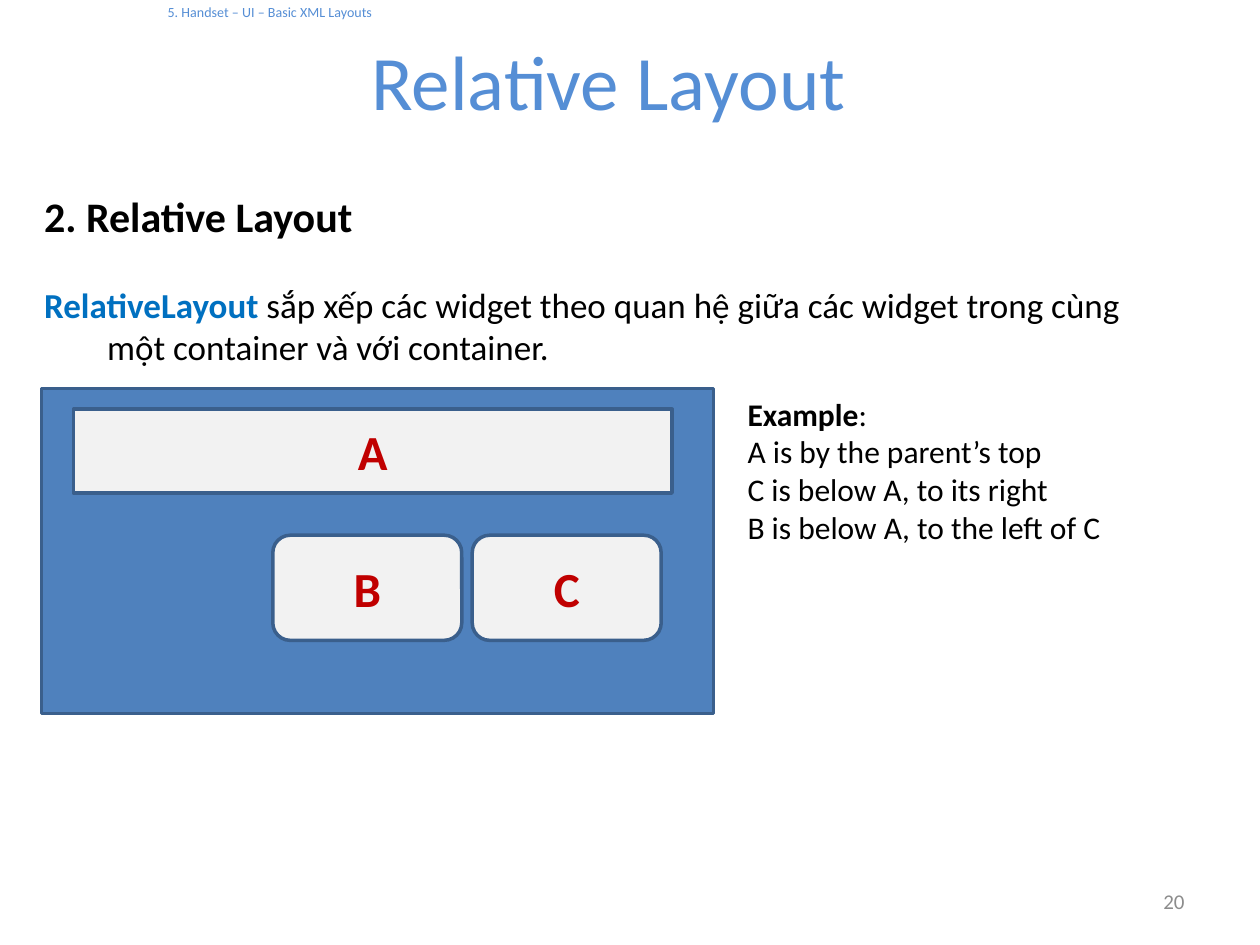
from collections import namedtuple
from dataclasses import dataclass

from pptx import Presentation
from pptx import util as u
from pptx.dml.color import RGBColor
from pptx.enum import shapes, text

Box = namedtuple("Box", "left top width height")


@dataclass(frozen=True)
class Theme:
    """Colours, font and type sizes of the slide."""
    font: str = "Calibri"
    title: str = "558ED5"
    ink: str = "000000"
    keyword: str = "0070C0"
    number: str = "8C8C8C"
    parent: str = "4F81BD"
    child: str = "F2F2F2"
    outline: str = "3A5F8C"
    label: str = "C00000"
    crumb_size: int = 8
    number_size: int = 12
    example_size: int = 18
    body_size: int = 20
    heading_size: int = 24
    label_size: int = 28
    title_size: int = 44


THEME = Theme()
ALIGN = text.PP_ALIGN
ANCHOR = text.MSO_ANCHOR


def place(item, box):
    """Move and size an item to a box given in centimetres."""
    item.left, item.top, item.width, item.height = map(u.Cm, box)


def add_span(para, words, size, colour, bold=False):
    """Add one formatted run to a paragraph."""
    span = para.add_run()
    span.text = words
    span.font.name = THEME.font
    span.font.size = u.Pt(size)
    span.font.bold = bold
    span.font.color.rgb = RGBColor.from_string(colour)


def add_frame(page, box, anchor=ANCHOR.TOP):
    """Add a wrapping text box and return its text frame."""
    frame = page.shapes.add_textbox(*map(u.Cm, box)).text_frame
    frame.word_wrap = True
    frame.vertical_anchor = anchor
    return frame


def add_header(page, box):
    """Place the chapter line and, below it, the slide title."""
    crumb = add_frame(page, Box(box.left + 2.29, box.top, box.width - 2.29, 0.5))
    crumb.margin_top = 0
    crumb.paragraphs[0].line_spacing = 0.8
    add_span(crumb.paragraphs[0], "5. Handset – UI – Basic XML Layouts",
             THEME.crumb_size, THEME.title)

    title = page.shapes.title
    place(title, Box(box.left, box.top + 0.55, box.width, box.height - 0.55))
    frame = title.text_frame
    frame.margin_top = 0
    frame.vertical_anchor = ANCHOR.TOP
    frame.paragraphs[0].alignment = ALIGN.CENTER
    add_span(frame.paragraphs[0], "Relative Layout", THEME.title_size, THEME.title)


def add_definition(page, box):
    """Place the section heading and the definition, both hanging."""
    frame = add_frame(page, box)
    heading, definition = frame.paragraphs[0], frame.add_paragraph()
    for para in (heading, definition):
        properties = para._p.get_or_add_pPr()
        properties.set("marL", str(u.Cm(1.27)))
        properties.set("indent", str(-u.Cm(1.27)))
    heading.space_after = u.Pt(24.4)
    add_span(heading, "2. Relative Layout", THEME.heading_size, THEME.ink, True)
    add_span(definition, "RelativeLayout", THEME.body_size, THEME.keyword, True)
    add_span(definition, " sắp xếp các widget theo quan hệ giữa các widget trong cùng "
             "một container và với container.", THEME.body_size, THEME.ink)


def add_block(group, kind, box, fill, label=""):
    """Add an outlined block with an optional centred label."""
    block = group.shapes.add_shape(kind, *map(u.Cm, box))
    block.shadow.inherit = False
    block.fill.solid()
    block.fill.fore_color.rgb = RGBColor.from_string(fill)
    block.line.color.rgb = RGBColor.from_string(THEME.outline)
    block.line.width = u.Pt(2)
    if label:
        block.text_frame.vertical_anchor = ANCHOR.MIDDLE
        para = block.text_frame.paragraphs[0]
        para.alignment = ALIGN.CENTER
        add_span(para, label, THEME.label_size, THEME.label, True)


def add_diagram(page, box):
    """Draw the container with widgets A, B and C inside it."""
    group = page.shapes.add_group_shape()
    kinds = shapes.MSO_SHAPE
    add_block(group, kinds.RECTANGLE, box, THEME.parent)
    add_block(group, kinds.RECTANGLE,
              Box(box.left + 0.64, box.top + 0.42, box.width - 1.48, 1.69),
              THEME.child, "A")
    width, gap = 3.81, 0.21
    for column, label in enumerate("BC"):
        left = box.left + 4.66 + column * (width + gap)
        add_block(group, kinds.ROUNDED_RECTANGLE,
                  Box(left, box.top + 2.96, width, 2.12), THEME.child, label)


def add_example(page, box):
    """List the widget relations beside the diagram."""
    frame = add_frame(page, box)
    add_span(frame.paragraphs[0], "Example", THEME.example_size, THEME.ink, True)
    add_span(frame.paragraphs[0], ":", THEME.example_size, THEME.ink)
    for relation in ("A is by the parent’s top",
                     "C is below A, to its right",
                     "B is below A, to the left of C"):
        add_span(frame.add_paragraph(), relation, THEME.example_size, THEME.ink)


def add_page_number(page, box):
    """Place the page number at the right of its box."""
    para = add_frame(page, box, ANCHOR.MIDDLE).paragraphs[0]
    para.alignment = ALIGN.RIGHT
    add_span(para, "20", THEME.number_size, THEME.number)


def main():
    """Build the slide and save the deck."""
    deck = Presentation()
    deck.slide_width, deck.slide_height = u.Cm(25.4), u.Cm(19.05)
    page = deck.slides.add_slide(deck.slide_layouts.get_by_name("Title Only"))
    add_header(page, Box(0.84, 0.13, 22.86, 2.75))
    add_page_number(page, Box(18.2, 17.65, 5.93, 1.02))
    add_definition(page, Box(0.64, 3.71, 23.29, 5.51))
    add_diagram(page, Box(0.84, 7.83, 13.55, 6.56))
    add_example(page, Box(14.82, 7.83, 8.47, 3.33))
    deck.save("out.pptx")


main()
